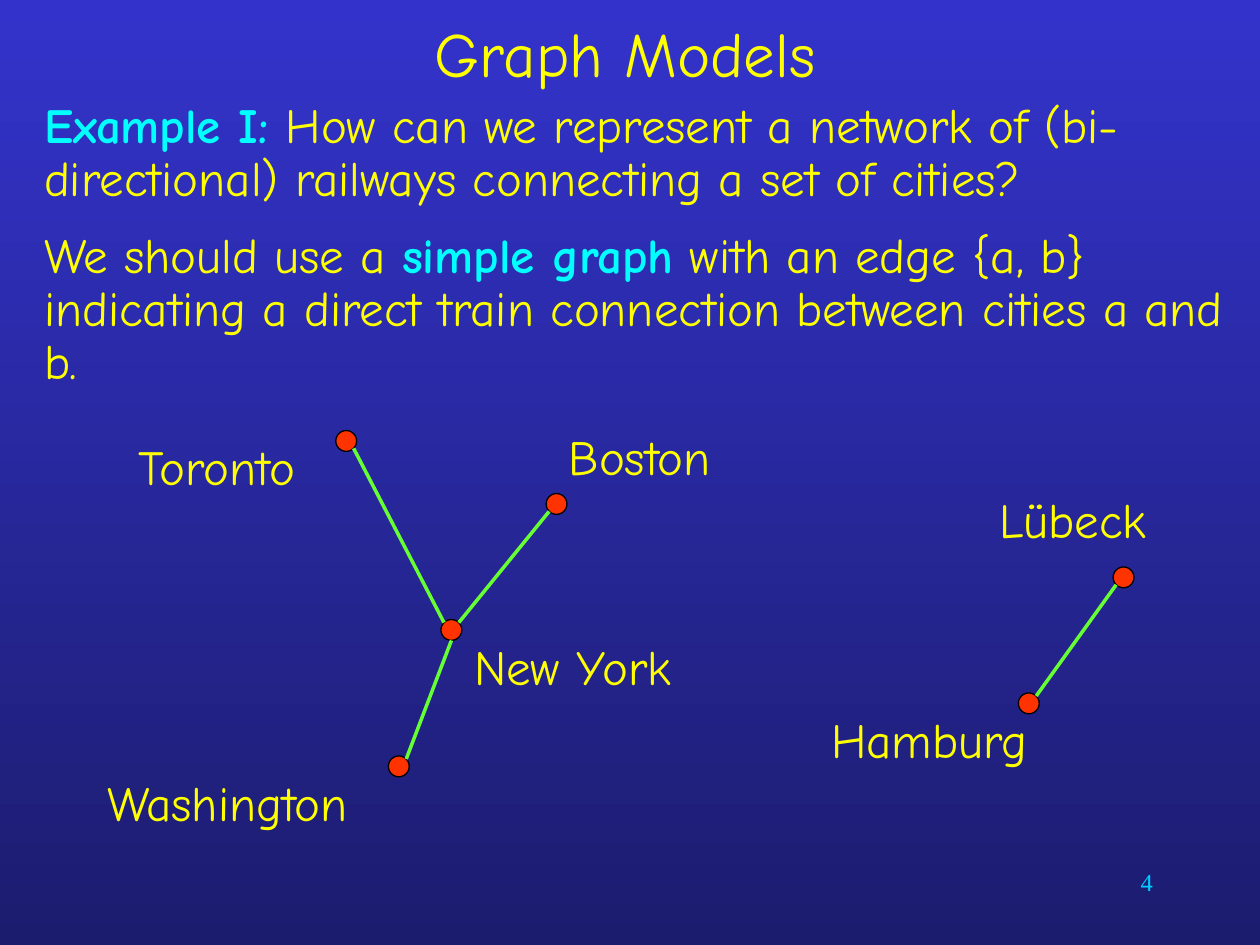
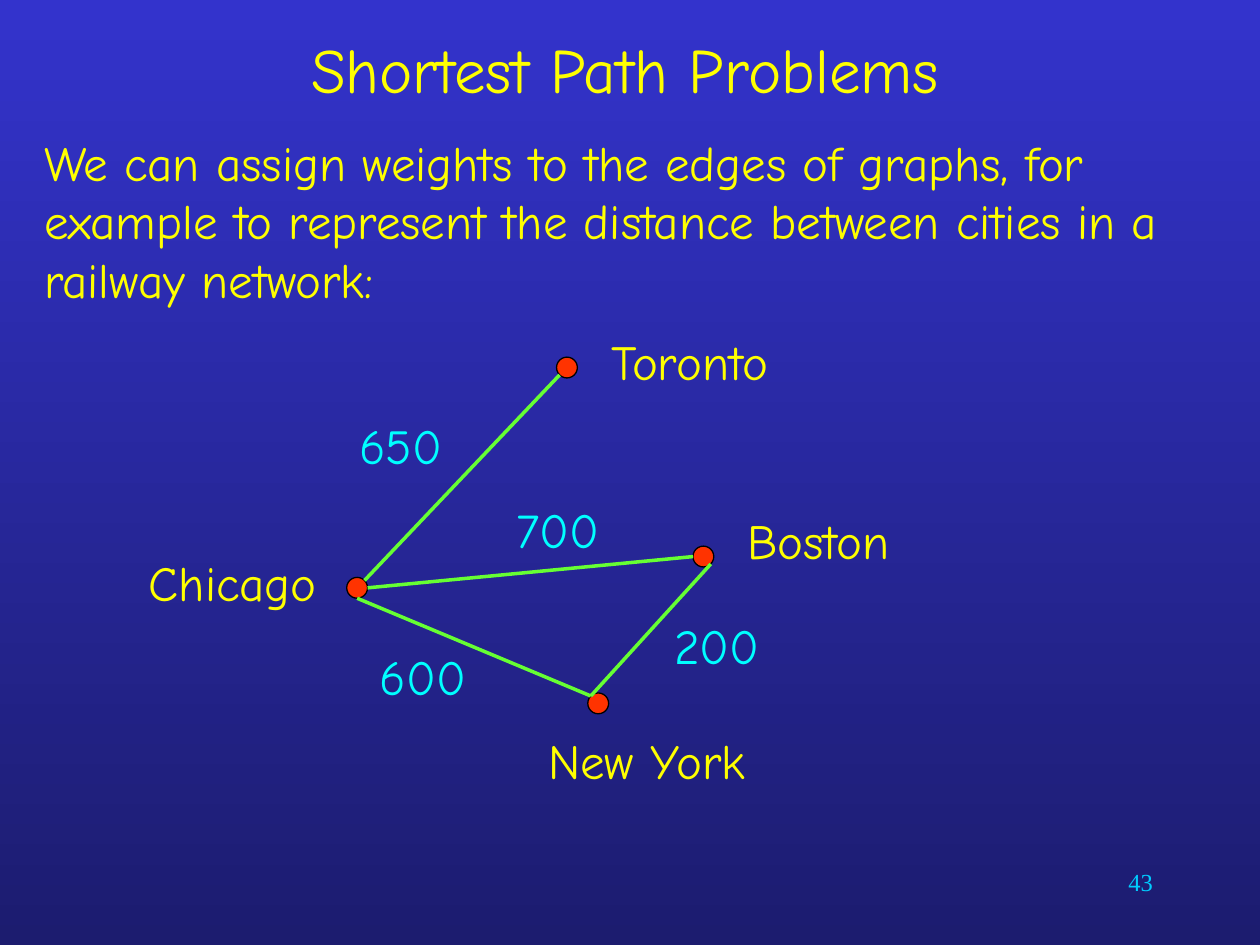
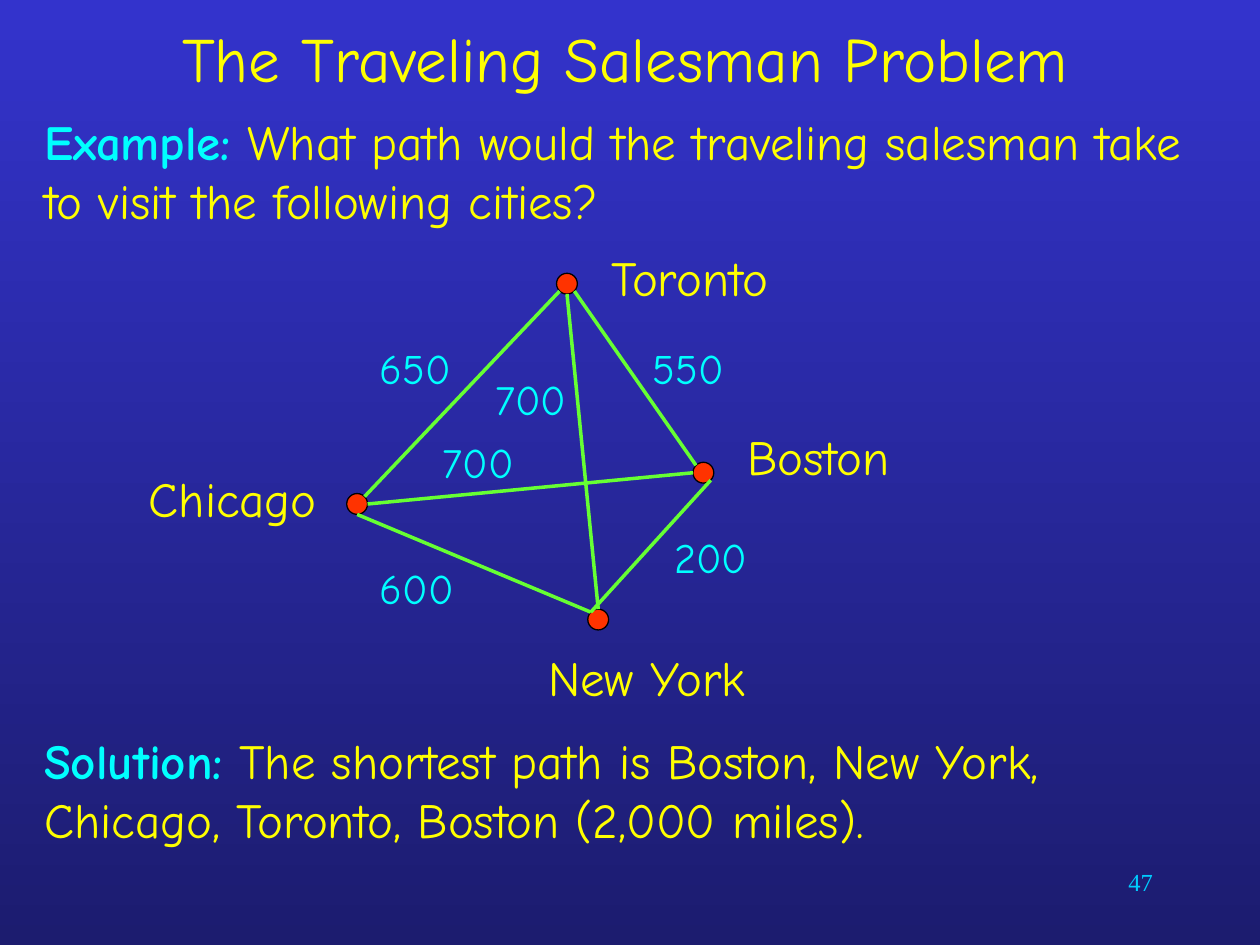
import pptx
import pptx.dml.color
import pptx.enum.shapes
import pptx.enum.text
import pptx.oxml.ns
import pptx.util
from lxml import etree
from pptx.util import Cm

# Colours
SKY_TOP = pptx.dml.color.RGBColor(0x33, 0x33, 0xCC)
SKY_BOTTOM = pptx.dml.color.RGBColor(0x1C, 0x1C, 0x6F)
YELLOW = pptx.dml.color.RGBColor(0xFF, 0xFF, 0x00)
CYAN = pptx.dml.color.RGBColor(0x00, 0xFF, 0xFF)
NUMBER_BLUE = pptx.dml.color.RGBColor(0x00, 0xCC, 0xFF)
DOT_RED = pptx.dml.color.RGBColor(0xFF, 0x33, 0x00)
BLACK = pptx.dml.color.RGBColor(0x00, 0x00, 0x00)
EDGE_GREEN = pptx.dml.color.RGBColor(0x66, 0xFF, 0x33)

# Text formats
ALIGN = pptx.enum.text.PP_ALIGN
ANCHOR = pptx.enum.text.MSO_ANCHOR
GROW = {"auto_size": pptx.enum.text.MSO_AUTO_SIZE.SHAPE_TO_FIT_TEXT}
MIDDLE = {"vertical_anchor": ANCHOR.MIDDLE}
SPACING = {"space_after": pptx.util.Pt(7)}
TIGHT = {"space_after": pptx.util.Pt(7), "line_spacing": 0.9}

# Shared measures in cm
TEXT_LEFT, TEXT_WIDTH = 0.64, 24.34
DOT = 0.42
SIDES = {"top": (0, -1), "bottom": (0, 1), "left": (-1, 0), "right": (1, 0),
         "top left": (-0.71, -0.71), "top right": (0.71, -0.71),
         "bottom left": (-0.71, 0.71), "bottom right": (0.71, 0.71)}

# Cities: dot left and top, label left, top and width
RAILWAY_CITIES = {
    "New York": (8.89, 12.49, 9.31, 12.7, 5.29),
    "Boston": (11.01, 9.95, 11.22, 8.47, 4.45),
    "Washington": (7.83, 15.24, 1.91, 15.45, 8.04),
    "Lübeck": (22.44, 11.43, 19.9, 9.74, 5.5),
    "Toronto": (6.77, 8.68, 2.54, 8.68, 5.72),
    "Hamburg": (20.53, 13.97, 16.51, 14.18, 5.08),
}
WEIGHTED_CITIES = {
    "Chicago": (6.99, 11.64, 2.75, 11.01, 4.23),
    "New York": (11.85, 13.97, 10.8, 14.61, 5.93),
    "Boston": (13.97, 11.01, 14.82, 10.16, 4.23),
    "Toronto": (11.22, 7.2, 12.07, 6.56, 4.23),
}

# Edges: city and side of its dot at either end
RAILWAY_EDGES = [
    ("Toronto", "bottom right", "New York", "top left"),
    ("New York", "top right", "Boston", "bottom left"),
    ("New York", "bottom", "Washington", "top right"),
    ("Hamburg", "top right", "Lübeck", "bottom left"),
]
WEIGHTED_EDGES = [
    ("Toronto", "bottom left", "Chicago", "top right"),
    ("Chicago", "bottom", "New York", "top left"),
    ("Boston", "bottom right", "New York", "top left"),
    ("Chicago", "right", "Boston", "left"),
]
TOUR_EDGES = WEIGHTED_EDGES + [
    ("Toronto", "bottom right", "Boston", "top left"),
    ("Toronto", "bottom", "New York", "top"),
]

# Passages: top, height, paragraph format, paragraphs of (text, emphasised)
PAGES = [
    {"number": "4", "title": "Graph Models", "title_height": 2.12,
     "passages": [(1.91, 6.14, TIGHT, [
         [("Example I: ", True),
          ("How can we represent a network of (bi-directional) railways "
           "connecting a set of cities?", False)],
         [("We should use a ", False), ("simple graph", True),
          (" with an edge {a, b} indicating a direct train connection "
           "between cities a and b.", False)]])],
     "cities": RAILWAY_CITIES, "edges": RAILWAY_EDGES, "rise": 0,
     "weight_size": 28, "weights": []},
    {"number": "43", "title": "Shortest Path Problems", "title_height": 2.75,
     "passages": [(2.54, 5.72, SPACING, [
         [("We can assign weights to the edges of graphs, for example to "
           "represent the distance between cities in a railway network:", False)]])],
     "cities": WEIGHTED_CITIES, "edges": WEIGHTED_EDGES, "rise": 0,
     "weight_size": 28,
     "weights": [("600", 7.41, 12.91), ("700", 10.16, 9.95),
                 ("200", 13.34, 12.28), ("650", 6.99, 8.26)]},
    {"number": "47", "title": "The Traveling Salesman Problem", "title_height": 2.33,
     "passages": [
         (2.12, 2.96, SPACING, [
             [("Example:", True),
              (" What path would the traveling salesman take to visit the "
               "following cities?", False)]]),
         (14.61, 2.96, SPACING, [
             [("Solution:", True),
              (" The shortest path is Boston, New York, Chicago, Toronto, "
               "Boston (2,000 miles).", False)]])],
     "cities": WEIGHTED_CITIES, "edges": TOUR_EDGES, "rise": 1.69,
     "weight_size": 24,
     "weights": [("600", 7.41, 11.22), ("700", 8.68, 8.68), ("200", 13.34, 10.58),
                 ("650", 7.41, 6.77), ("550", 12.91, 6.77), ("700", 9.74, 7.41)]},
]


def add_text(slide, box, paragraphs, size, color=YELLOW, font_name="Comic Neue",
             frame_format={}, paragraph_format={}):
    """Write paragraphs of (text, emphasised) runs into a box given in cm."""
    frame = slide.shapes.add_textbox(*map(Cm, box)).text_frame
    for attribute, value in {"word_wrap": True, **frame_format}.items():
        setattr(frame, attribute, value)
    for index, runs in enumerate(paragraphs):
        paragraph = frame.add_paragraph() if index else frame.paragraphs[0]
        for attribute, value in paragraph_format.items():
            setattr(paragraph, attribute, value)
        if index:
            paragraph.space_before = pptx.util.Pt(7)
        for text, emphasised in runs:
            run = paragraph.add_run()
            run.text = text
            font_format = {"name": font_name, "size": pptx.util.Pt(size),
                           "bold": emphasised}
            for attribute, value in font_format.items():
                setattr(run.font, attribute, value)
            run.font.color.rgb = CYAN if emphasised else color


def dot_side(page, city, side):
    """Return the point on the rim of a city's dot."""
    left, top = page["cities"][city][:2]
    across, down = SIDES[side]
    return (Cm(left + DOT / 2 * (1 + across)),
            Cm(top - page["rise"] + DOT / 2 * (1 + down)))


presentation = pptx.Presentation()
presentation.slide_width = Cm(25.4)
presentation.slide_height = Cm(19.05)

for page in PAGES:
    slide = presentation.slides.add_slide(presentation.slide_layouts[6])

    # Background
    sky = slide.background.fill
    sky.gradient()
    sky.gradient_angle = 270
    for stop, color, position in zip(sky.gradient_stops, (SKY_TOP, SKY_BOTTOM), (0, 1)):
        stop.color.rgb = color
        stop.position = position

    # Page number, title and passages
    add_text(slide, (18.2, 17.36, 5.29, 1.27), [[(page["number"], False)]], 14,
             NUMBER_BLUE, "Times New Roman", paragraph_format={"alignment": ALIGN.RIGHT})
    add_text(slide, (TEXT_LEFT, 0, 23.92, page["title_height"]),
             [[(page["title"], False)]], 36, frame_format=MIDDLE,
             paragraph_format={"alignment": ALIGN.CENTER})
    for top, height, paragraph_format, paragraphs in page["passages"]:
        add_text(slide, (TEXT_LEFT, top, TEXT_WIDTH, height), paragraphs, 28,
                 paragraph_format=paragraph_format)

    # Cities
    for city, (left, top, label_left, label_top, width) in page["cities"].items():
        dot = slide.shapes.add_shape(
            pptx.enum.shapes.MSO_SHAPE.FLOWCHART_CONNECTOR,
            Cm(left), Cm(top - page["rise"]), Cm(DOT), Cm(DOT))
        dot.shadow.inherit = False
        dot.fill.solid()
        dot.fill.fore_color.rgb = DOT_RED
        dot.line.color.rgb = BLACK
        dot.line.width = pptx.util.Pt(0.75)
        add_text(slide, (label_left, label_top - page["rise"], width, 1.44),
                 [[(city, False)]], 28, frame_format=GROW)

    # Edges
    for start, start_side, end, end_side in page["edges"]:
        edge = slide.shapes.add_connector(
            pptx.enum.shapes.MSO_CONNECTOR.STRAIGHT,
            *dot_side(page, start, start_side), *dot_side(page, end, end_side))
        edge.line.color.rgb = EDGE_GREEN
        edge.line.width = pptx.util.Pt(2)
        etree.SubElement(edge._element.spPr, pptx.oxml.ns.qn("a:effectLst"))

    # Distances
    for distance, left, top in page["weights"]:
        add_text(slide, (left, top, 2.75, 1.44 if page["weight_size"] == 28 else 1.27),
                 [[(distance, False)]], page["weight_size"], CYAN, frame_format=GROW)

presentation.save("out.pptx")
